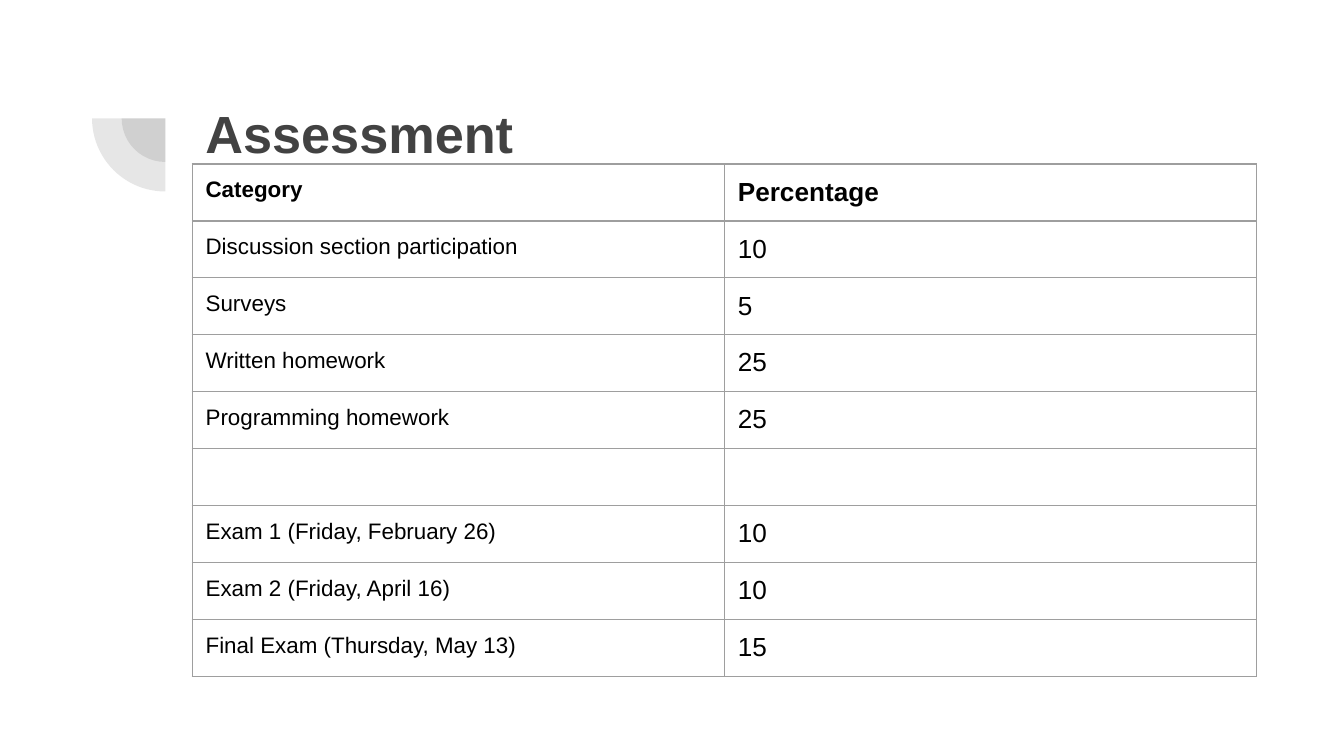
from dataclasses import dataclass

from lxml import etree
from pptx import Presentation
from pptx.dml.color import RGBColor
from pptx.enum.shapes import MSO_SHAPE
from pptx.oxml.ns import qn
from pptx.util import Inches, Pt

PIE = MSO_SHAPE.PIE
FONT = "Arial"
GREY, BLACK, RULE = "424242", "000000", "9E9E9E"
WIDTH, HEIGHT = 10, 10 * 9 / 16
INSET = Inches(0.1)
LEFT, TABLE_TOP = 1.43, 1.22
COLUMN_WIDTH, ROW_HEIGHT = 3.96, 0.42
COLUMN_SIZES = (12, 14)


@dataclass
class Category:
    name: str
    percentage: str
    bold: bool = False


@dataclass
class Quarter:
    diameter: float


CATEGORIES = [
    Category("Category", "Percentage", bold=True),
    Category("Discussion section participation", "10"),
    Category("Surveys", "5"),
    Category("Written homework", "25"),
    Category("Programming homework", "25"),
    Category("", ""),
    Category("Exam 1 (Friday, February 26)", "10"),
    Category("Exam 2 (Friday, April 16)", "10"),
    Category("Final Exam (Thursday, May 13)", "15"),
]
QUARTERS = [Quarter(0.65), Quarter(1.09)]
QUARTER_CENTER = (1.23, 0.88)


def color(value: str) -> RGBColor:
    return RGBColor.from_string(value)


def add_span(para, text: str, size: float, ink: str, bold: bool) -> None:
    span = para.add_run()
    span.text = text
    span.font.name, span.font.size, span.font.bold = FONT, Pt(size), bold
    span.font.color.rgb = color(ink)


def set_insets(holder) -> None:
    holder.margin_left = holder.margin_right = INSET
    holder.margin_top = holder.margin_bottom = INSET


def draw_quarter(page, quarter: Quarter) -> None:
    """Translucent quarter disc around the shared centre."""
    size = quarter.diameter
    left, top = (middle - size / 2 for middle in QUARTER_CENTER)
    disc = page.shapes.add_shape(PIE, Inches(left), Inches(top), Inches(size), Inches(size))
    disc.adjustments[0], disc.adjustments[1] = 108, 162
    disc.rotation = 270
    disc.shadow.inherit = False
    disc.line.fill.background()
    disc.fill.solid()
    disc.fill.fore_color.rgb = color(GREY)
    tint = disc.fill._xPr.find(".//" + qn("a:srgbClr"))
    etree.SubElement(tint, qn("a:alpha"), val="13000")


def draw_title(page, text: str) -> None:
    box = page.shapes.add_textbox(Inches(LEFT), Inches(0.65), Inches(7.69), Inches(1.09))
    frame = box.text_frame
    frame.word_wrap = True
    set_insets(frame)
    add_span(frame.paragraphs[0], text, 28, GREY, True)


def draw_borders(cell) -> None:
    properties = cell._tc.get_or_add_tcPr()
    for index, side in enumerate(("lnL", "lnR", "lnT", "lnB")):
        line = etree.Element(qn(f"a:{side}"), w=str(Pt(0.75)))
        fill = etree.SubElement(line, qn("a:solidFill"))
        etree.SubElement(fill, qn("a:srgbClr"), val=RULE)
        properties.insert(index, line)


def fill_cell(cell, text: str, size: int, bold: bool) -> None:
    cell.fill.background()
    set_insets(cell)
    cell.margin_bottom = Inches(0.09)  # leaves room for the rule below
    draw_borders(cell)
    para = cell.text_frame.paragraphs[0]
    if text:
        add_span(para, text, size, BLACK, bold)
    else:  # keeps the empty row as low as the others
        etree.SubElement(para._p, qn("a:endParaRPr"), sz=str(size * 100))


def draw_table(page, categories: list[Category]) -> None:
    count = len(categories)
    frame = page.shapes.add_table(
        count, 2, Inches(LEFT), Inches(TABLE_TOP),
        Inches(2 * COLUMN_WIDTH), Inches(count * ROW_HEIGHT))
    table = frame.table
    table.first_row = table.horz_banding = False
    for row, category in enumerate(categories):
        for column, text in enumerate((category.name, category.percentage)):
            fill_cell(table.cell(row, column), text, COLUMN_SIZES[column], category.bold)


def main() -> None:
    deck = Presentation()
    deck.slide_width, deck.slide_height = Inches(WIDTH), Inches(HEIGHT)
    page = deck.slides.add_slide(deck.slide_layouts[6])

    # Corner ornament
    for quarter in QUARTERS:
        draw_quarter(page, quarter)

    # Heading and grading table
    draw_title(page, "Assessment")
    draw_table(page, CATEGORIES)
    deck.save("out.pptx")


if __name__ == "__main__":
    main()
